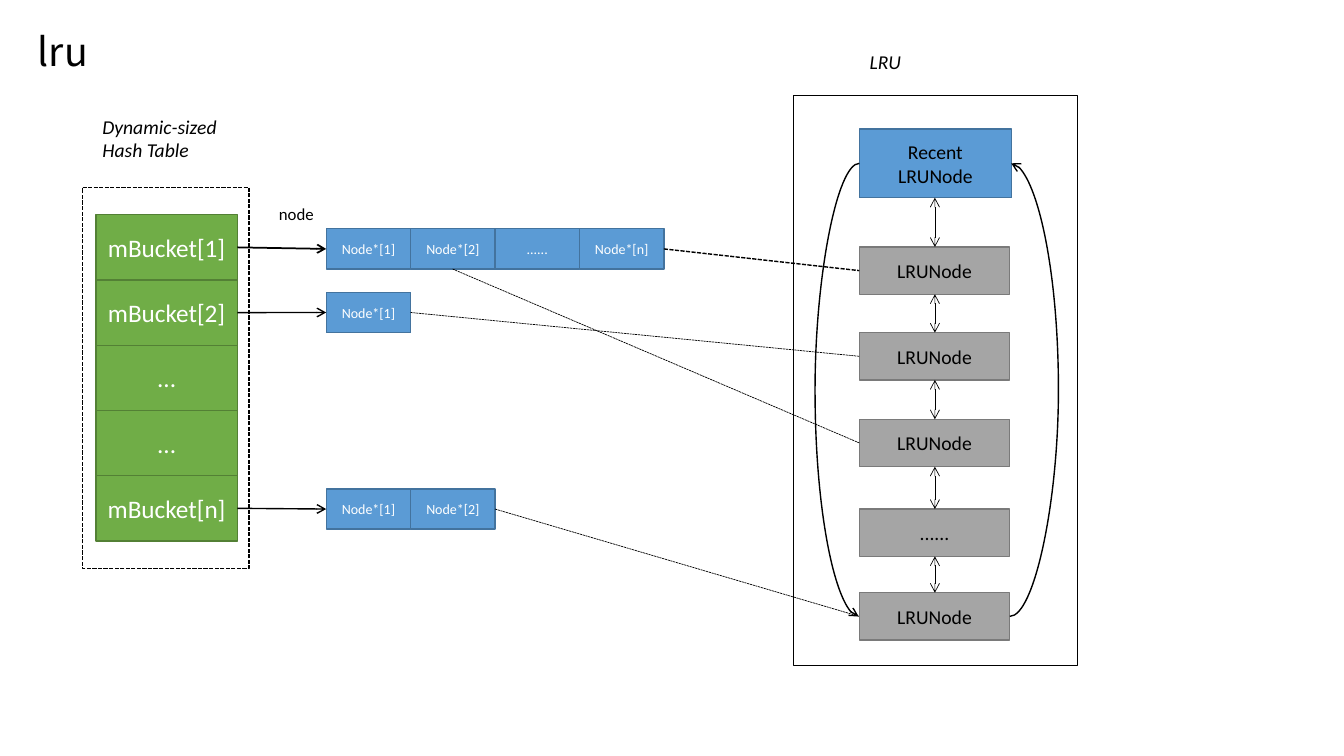
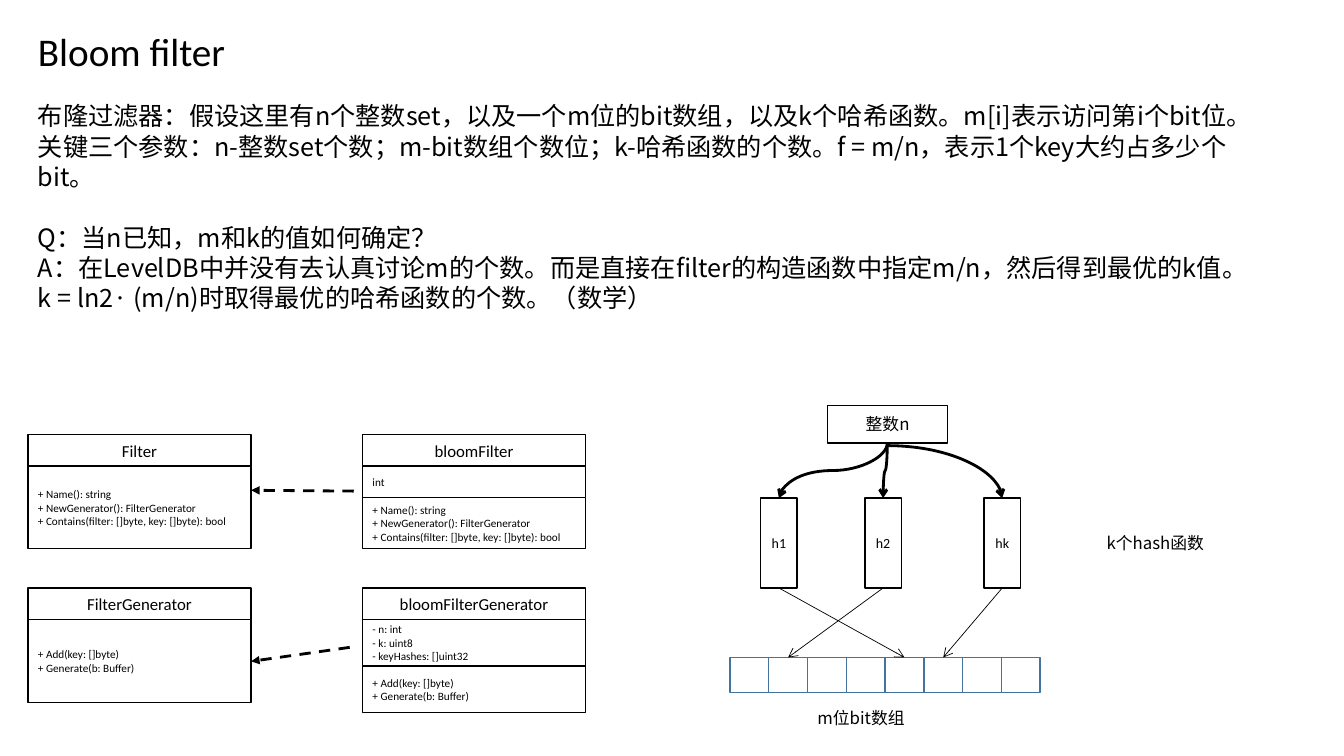
from math import cos, radians, sin

from pptx import Presentation
from pptx.dml.color import RGBColor
from pptx.enum.dml import MSO_LINE
from pptx.enum.shapes import MSO_CONNECTOR, MSO_SHAPE
from pptx.enum.text import MSO_ANCHOR, PP_ALIGN
from pptx.oxml.ns import qn
from pptx.util import Pt
from lxml.etree import SubElement

LATIN, CJK = "Calibri", "Noto Sans CJK JP"
BLACK, WHITE = "000000", "FFFFFF"
BLUE, BLUE_EDGE = "5B9BD5", "43739E"
GREEN, GREEN_EDGE = "70AD47", "538035"
GRAY, GRAY_EDGE = "A5A5A5", "7A7A7A"


def rgb(value):
    """Turn a hex string into a colour."""
    return RGBColor.from_string(value)


def write(tf, text, size=12, color=BLACK, font=LATIN, italic=False,
          align=PP_ALIGN.LEFT, anchor=MSO_ANCHOR.TOP):
    """Fill a text frame, one paragraph for each line of text."""
    tf.word_wrap = True
    tf.vertical_anchor = anchor
    for i, line in enumerate(text.split("\n")):
        p = tf.paragraphs[0] if i == 0 else tf.add_paragraph()
        p.alignment = align
        r = p.add_run()
        r.text = line
        r.font.size = Pt(size)
        r.font.name = font
        r.font.italic = italic
        r.font.color.rgb = rgb(color)
        SubElement(r.font._element, qn("a:ea")).set("typeface", font)


def label(s, text, x, y, w, h, **fmt):
    """Add a text box and return its text frame."""
    tf = s.shapes.add_textbox(Pt(x), Pt(y), Pt(w), Pt(h)).text_frame
    write(tf, text, **fmt)
    return tf


def title(s, text, **fmt):
    """Add the slide title."""
    label(s, text, 20, 16, 316, 41, size=28, **fmt)


def box(s, x, y, w, h, text="", fill=None, edge=BLACK, dash=None,
        align=PP_ALIGN.CENTER, **fmt):
    """Add a process box with optional centred text."""
    sp = s.shapes.add_shape(MSO_SHAPE.FLOWCHART_PROCESS, Pt(x), Pt(y), Pt(w), Pt(h))
    sp.shadow.inherit = False
    if fill:
        sp.fill.solid()
        sp.fill.fore_color.rgb = rgb(fill)
    else:
        sp.fill.background()
    sp.line.color.rgb = rgb(edge)
    sp.line.width = Pt(1)
    if dash:
        sp.line.dash_style = dash
    if text:
        write(sp.text_frame, text, align=align, anchor=MSO_ANCHOR.MIDDLE, **fmt)


def connect(s, start, end, width=1, head=None, tail=None, dash=None,
            kind=MSO_CONNECTOR.STRAIGHT):
    """Add a black connector between two points."""
    c = s.shapes.add_connector(kind, *(Pt(v) for v in (*start, *end)))
    c.line.color.rgb = rgb(BLACK)
    c.line.width = Pt(width)
    if dash:
        c.line.dash_style = dash
    ln = c.line._get_or_add_ln()
    for tag, arrow in (("a:headEnd", head), ("a:tailEnd", tail)):
        if arrow:
            SubElement(ln, qn(tag)).set("type", arrow)
    SubElement(c._element.spPr, qn("a:effectLst"))
    return c


def curve(s, start, end, rot=0, adj=None, preset="curvedConnector3", width=1):
    """Add a curved arrow whose frame is turned by rot degrees."""
    cx, cy = (start[0] + end[0]) / 2, (start[1] + end[1]) / 2
    co, si = round(cos(radians(rot))), round(sin(radians(rot)))
    a, b = ((cx + (x - cx) * co + (y - cy) * si, cy - (x - cx) * si + (y - cy) * co)
            for x, y in (start, end))
    c = connect(s, a, b, width, tail="arrow", kind=MSO_CONNECTOR.CURVE)
    spPr = c._element.spPr
    if rot:
        spPr.find(qn("a:xfrm")).set("rot", str(rot * 60000))
    geom = spPr.find(qn("a:prstGeom"))
    geom.set("prst", preset)
    if adj is not None:
        av = geom.find(qn("a:avLst"))
        if av is None:
            av = SubElement(geom, qn("a:avLst"))
        gd = SubElement(av, qn("a:gd"))
        gd.set("name", "adj1")
        gd.set("fmla", f"val {round(adj * 100000)}")


def hash_table(s, x, y, w, h):
    """Draw the bucket column and return the right middle of each bucket."""
    label(s, "Dynamic-sized\nHash Table", x + 7, y - 55.5, 107, 41, size=14, italic=True)
    box(s, x, y, w, h, fill=WHITE, dash=MSO_LINE.SQUARE_DOT)
    left, top, bw, bh = x + 9.5, y + 19.4, 101, 46.6
    names = ("mBucket[1]", "mBucket[2]", "...", "...", "mBucket[n]")
    for i, name in enumerate(names):
        box(s, left, top + i * bh, bw, bh, name, GREEN, GREEN_EDGE, size=18, color=WHITE)
    return [(left + bw, top + (i + 0.5) * bh) for i in range(len(names))]


def chain(s, x, y, names, w=60.3, h=28.8):
    """Draw a row of node cells centred on y and return its right middle."""
    for i, name in enumerate(names):
        box(s, x + i * w, y - h / 2, w, h, name, BLUE, BLUE_EDGE, size=10, color=WHITE)
    return x + len(names) * w, y


def lru_list(s, x, y, w, h):
    """Draw the LRU ring and return the left middle of each gray node."""
    label(s, "LRU", x + 47.4, y - 36, 107, 24, size=14, italic=True)
    left, nw, nh, mid = x + 47.2, 107.5, 33.8, x + 101.2
    top, bottom = y + 23.8, y + 72.8
    box(s, left, top, 108.7, bottom - top, "Recent\nLRUNode", BLUE, BLUE_EDGE, size=14)
    tops = [y + dy for dy in (108, 169.2, 231.1, 295.2, 355)]
    for ty, name in zip(tops, ("LRUNode", "LRUNode", "LRUNode", "......", "LRUNode")):
        box(s, left, ty, nw, nh, name, GRAY, GRAY_EDGE, size=14)
        connect(s, (mid, ty), (mid, bottom), 0.5, head="arrow", tail="arrow")
        bottom = ty + nh
    first, last = top + 24.5, tops[-1] + nh / 2
    curve(s, (left + nw, last), (left + nw + 1, first), adj=35)
    curve(s, (left, first), (left - 0.5, last), rot=180, adj=62)
    box(s, x, y, w, h)
    return [(left, ty + nh / 2) for ty in tops]


def lru_slide(prs):
    """Build the slide on the hash table and the LRU list."""
    s = prs.slides.add_slide(prs.slide_layouts[6])
    title(s, "lru", font=CJK)
    buckets = hash_table(s, 59, 134, 119, 272)
    label(s, "node", 192.2, 141.8, 86, 22)
    rows = ((0, 177.8, 1.25, ("Node*[1]", "Node*[2]", "......", "Node*[n]")),
            (1, 223.2, 1, ("Node*[1]",)),
            (4, 363.6, 1, ("Node*[1]", "Node*[2]")))
    ends = []
    for i, y, width, names in rows:
        ends.append(chain(s, 233, y, names))
        connect(s, buckets[i], (233, y), width, tail="arrow")
    nodes = lru_list(s, 566.6, 68.4, 203, 406.8)
    links = ((ends[0], nodes[0], 1), ((323.4, 192.2), nodes[2], 0.5),
             (ends[1], nodes[1], 0.5), (ends[2], nodes[4], 0.5))
    for start, end, width in links:
        connect(s, start, end, width, dash=MSO_LINE.SQUARE_DOT)


def class_box(s, x, y, name, *parts):
    """Draw a class with its name and parts given as height and text."""
    w, head = 159.3, 22.6
    box(s, x, y, w, head, name, WHITE)
    y += head
    for h, text in parts:
        box(s, x, y, w, h, text, WHITE, size=8, align=PP_ALIGN.LEFT)
        y += h


def class_diagram(s, x, y):
    """Draw the two interfaces and the classes that realise them."""
    right, low = x + 239, y + 109.6
    reads = "+ Name(): string\n+ NewGenerator(): FilterGenerator\n" \
            "+ Contains(filter: []byte, key: []byte): bool"
    writes = "+ Add(key: []byte)\n+ Generate(b: Buffer)"
    fields = "- n: int\n- k: uint8\n- keyHashes: []uint32"
    class_box(s, x, y, "Filter", (59, reads))
    class_box(s, right, y, "bloomFilter", (22.3, "int"), (36.7, reads))
    class_box(s, x, low, "FilterGenerator", (59, writes))
    class_box(s, right, low, "bloomFilterGenerator", (33.2, fields), (33.2, writes))
    for x1, y1, y2 in ((232.7, 40.4, 39.8), (229.8, 152, 162)):
        connect(s, (x + x1, y + y1), (x + 159.4, y + y2), 0, tail="triangle",
                dash=MSO_LINE.DASH)


def hash_diagram(s, x, y):
    """Draw an integer hashed by k functions into the bit array."""
    cell, bits = 27.7, y + 180
    for i in range(8):
        box(s, x + i * cell, bits, cell, 25.2, edge=BLUE_EDGE)
    label(s, "m位bit数组", x + 55.4, y + 212.2, 152, 22, font=CJK)
    label(s, "k个hash函数", x + 262, y + 87.7, 152, 22, font=CJK)
    box(s, x + 69.6, y, 86, 26.8, "整数n", WHITE, font=CJK)
    root, top, w, h = x + 112.4, y + 66.2, 26, 64.2
    for name, dx, bit in (("h1", 22, 4), ("h2", 96.4, 1), ("hk", 181.5, 5)):
        mid = x + dx + w / 2
        box(s, x + dx, top, w, h, name, WHITE, size=10)
        if mid < root:
            curve(s, (root, y + 26.8), (mid, top), rot=90, adj=0.5, width=0)
        else:
            curve(s, (root, y + 28.7), (mid, top), preset="curvedConnector2", width=0)
        connect(s, (mid, top + h), (x + (bit + 0.5) * cell, bits), 0.5, tail="arrow")


def explanation(s, x, y, w, h):
    """Write the explanation of the filter and its parameters."""
    text = (
        "布隆过滤器：假设这里有n个整数set，以及一个m位的bit数组，以及k个哈希函数。m[i]表示访问第i个bit位。\n"
        "关键三个参数：n-整数set个数；m-bit数组个数位；k-哈希函数的个数。f = m/n，表示1个key大约占多少个bit。\n"
        "Q：当n已知，m和k的值如何确定？\n"
        "A：在LevelDB中并没有去认真讨论m的个数。而是直接在filter的构造函数中指定m/n，然后得到最优的k值。"
        "\tk = ln2· (m/n)时取得最优的哈希函数的个数。（数学）")
    tf = label(s, text, x, y, w, h, size=18, font=CJK)
    question, answer = tf.paragraphs[2:]
    question.space_before = Pt(22)
    tabs = SubElement(answer._p.get_or_add_pPr(), qn("a:tabLst"))
    tab = SubElement(tabs, qn("a:tab"))
    tab.set("pos", str(Pt(195)))
    tab.set("algn", "l")


def bloom_slide(prs):
    """Build the slide on the Bloom filter."""
    s = prs.slides.add_slide(prs.slide_layouts[6])
    title(s, "Bloom filter")
    class_diagram(s, 20, 310.4)
    explanation(s, 20, 68.4, 883.4, 204)
    hash_diagram(s, 521.4, 289.6)


def main():
    """Build and save the presentation."""
    prs = Presentation()
    prs.slide_width, prs.slide_height = Pt(960), Pt(540)
    lru_slide(prs)
    bloom_slide(prs)
    prs.save("out.pptx")


if __name__ == "__main__":
    main()
